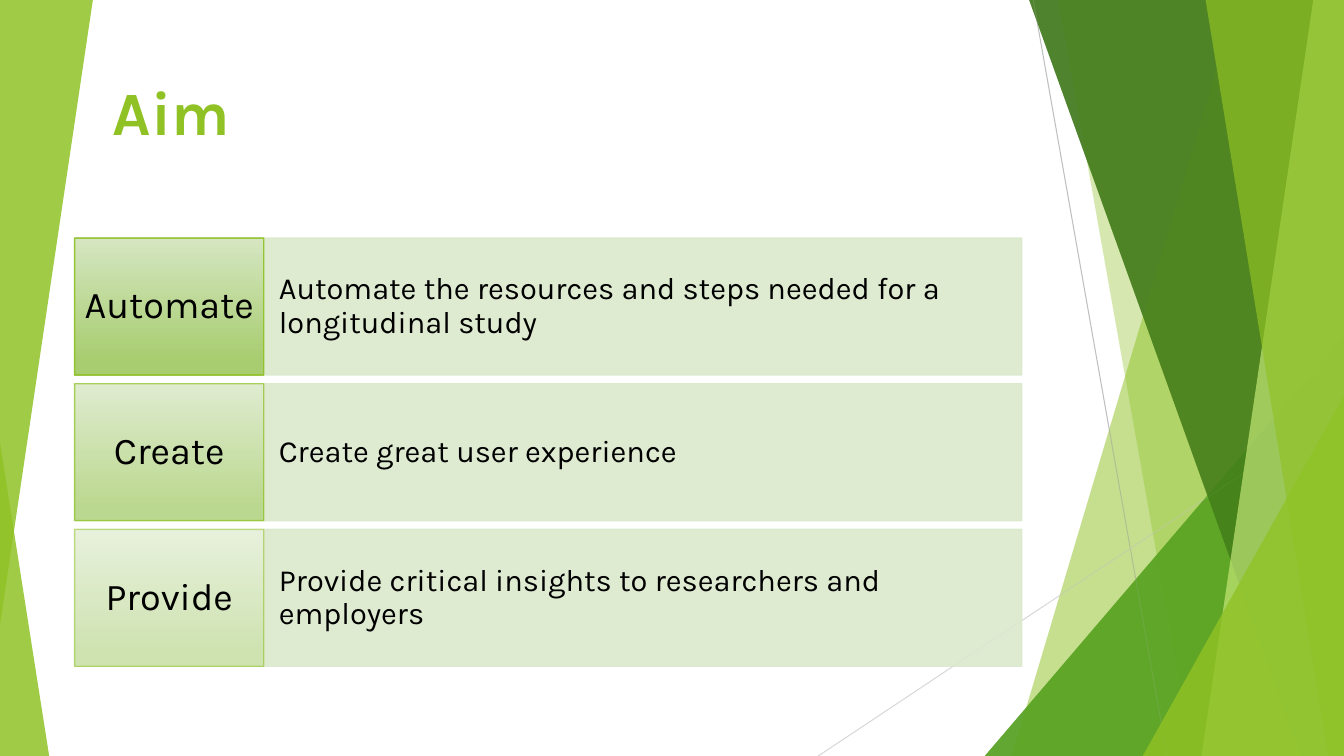
from dataclasses import dataclass

from pptx import Presentation
from pptx.dml.color import RGBColor
from pptx.enum.shapes import MSO_CONNECTOR, MSO_SHAPE
from pptx.enum.text import MSO_ANCHOR, PP_ALIGN
from pptx.oxml.ns import qn
from pptx.oxml.xmlchemy import OxmlElement
from pptx.util import Cm, Pt

RECT = MSO_SHAPE.RECTANGLE
TRIANGLE = MSO_SHAPE.ISOSCELES_TRIANGLE
STRAIGHT = MSO_CONNECTOR.STRAIGHT
TOP, MIDDLE = MSO_ANCHOR.TOP, MSO_ANCHOR.MIDDLE
LEFT, CENTER = PP_ALIGN.LEFT, PP_ALIGN.CENTER

LIME = RGBColor(0x90, 0xC2, 0x26)
GREEN = RGBColor(0x54, 0xA0, 0x21)
FOREST = RGBColor(0x3F, 0x78, 0x19)
PALE_LIME = RGBColor(0xC0, 0xE4, 0x74)
PANEL = RGBColor(0xDB, 0xE9, 0xCD)
LABEL_TOP = RGBColor(0xD3, 0xE5, 0xBE)
LABEL_BOTTOM = RGBColor(0xA0, 0xC9, 0x62)
GREY = RGBColor(0xBF, 0xBF, 0xBF)
LIGHT_GREY = RGBColor(0xD9, 0xD9, 0xD9)
BLACK = RGBColor(0, 0, 0)

FONT = "Karla"
WIDTH, HEIGHT = 33.87, 19.05
BLEED_TOP = -0.02
ROW_TOP, ROW_STEP, ROW_HEIGHT = 6.0, 3.67, 3.45
LABEL_LEFT, LABEL_WIDTH = 1.88, 4.77
PANEL_LEFT, PANEL_WIDTH = LABEL_LEFT + LABEL_WIDTH, 19.1


@dataclass
class Facet:
    top_x: float
    bottom_x: float
    color: RGBColor
    alpha: int


@dataclass
class Corner:
    x: float
    y: float
    w: float
    h: float
    apex: float
    color: RGBColor
    alpha: int
    rotation: int = 0


@dataclass
class Ray:
    x1: float
    y1: float
    x2: float
    y2: float
    color: RGBColor


@dataclass
class Row:
    label: str
    text: str
    alpha: int


RIGHT_SIDE = [
    Facet(31.19, 25.5, LIME, 30),
    Facet(26.67, 30.05, LIME, 20),
    Corner(24.82, 8.46, 9.05, 10.59, 1, GREEN, 72),
    Facet(25.93, 32.79, FOREST, 70),
    Facet(33.1, 30.28, PALE_LIME, 70),
    Facet(30.38, 33.48, LIME, 65),
    Corner(28.8, 9.98, 5.07, 9.07, 1, LIME, 80),
]
UPPER_LEFT = Corner(0, 0, 2.34, 15.75, 1, LIME, 85, 180)
LOWER_LEFT = Corner(0, 11.15, 1.24, 7.9, 0, LIME, 85)
RAYS = [
    Ray(26.04, 0, 29.41, HEIGHT, GREY),
    Ray(WIDTH, 10.24, 20.62, HEIGHT, LIGHT_GREY),
]
ROWS = [
    Row("Automate", "Automate the resources and steps needed for a longitudinal study", 90),
    Row("Create", "Create great user experience", 70),
    Row("Provide", "Provide critical insights to researchers and employers", 50),
]


def set_alpha(sp, percent: int) -> None:
    for clr in sp._element.spPr.iter(qn("a:srgbClr")):
        alpha = OxmlElement("a:alpha")
        alpha.set("val", str(percent * 1000))
        clr.append(alpha)


def paint(sp, color: RGBColor, alpha: int) -> None:
    sp.shadow.inherit = False
    sp.fill.solid()
    sp.fill.fore_color.rgb = color
    sp.line.fill.background()
    set_alpha(sp, alpha)


def add_facet(s, facet: Facet) -> None:
    builder = s.shapes.build_freeform(Cm(facet.top_x), Cm(BLEED_TOP))
    builder.add_line_segments([
        (Cm(WIDTH), Cm(BLEED_TOP)),
        (Cm(WIDTH), Cm(HEIGHT)),
        (Cm(facet.bottom_x), Cm(HEIGHT)),
    ])
    paint(builder.convert_to_shape(), facet.color, facet.alpha)


def add_corner(s, corner: Corner) -> None:
    sp = s.shapes.add_shape(TRIANGLE, Cm(corner.x), Cm(corner.y), Cm(corner.w), Cm(corner.h))
    sp.adjustments[0] = corner.apex
    sp.rotation = corner.rotation
    paint(sp, corner.color, corner.alpha)


def add_right_side(s) -> None:
    for part in RIGHT_SIDE:
        if isinstance(part, Facet):
            add_facet(s, part)
        else:
            add_corner(s, part)


def add_ray(s, ray: Ray) -> None:
    line = s.shapes.add_connector(STRAIGHT, Cm(ray.x1), Cm(ray.y1), Cm(ray.x2), Cm(ray.y2))
    line.line.color.rgb = ray.color
    line.line.width = Pt(0.75)
    line._element.spPr.append(OxmlElement("a:effectLst"))


def write(sp, text: str, *, size: float, color: RGBColor = BLACK, bold: bool = False,
          align=LEFT, anchor=MIDDLE, spacing: float = 0.9,
          inset_x: float = 0.25, inset_y: float = 0.33) -> None:
    tf = sp.text_frame
    tf.word_wrap = True
    tf.vertical_anchor = anchor
    tf.margin_left = tf.margin_right = Cm(inset_x)
    tf.margin_top = tf.margin_bottom = Cm(inset_y)
    p = tf.paragraphs[0]
    p.alignment = align
    p.line_spacing = spacing
    r = p.add_run()
    r.text = text
    r.font.name = FONT
    r.font.size = Pt(size)
    r.font.bold = bold
    r.font.color.rgb = color


def add_box(s, x: float, y: float, w: float, line_color: RGBColor):
    sp = s.shapes.add_shape(RECT, Cm(x), Cm(y), Cm(w), Cm(ROW_HEIGHT))
    sp.shadow.inherit = False
    sp.line.color.rgb = line_color
    sp.line.width = Pt(1)
    return sp


def add_row(s, row: Row, y: float) -> None:
    panel = add_box(s, PANEL_LEFT, y, PANEL_WIDTH, PANEL)
    panel.fill.solid()
    panel.fill.fore_color.rgb = PANEL
    set_alpha(panel, 90)
    write(panel, row.text, size=22, inset_x=0.38, inset_y=0.89)

    label = add_box(s, LABEL_LEFT, y, LABEL_WIDTH, LIME)
    label.fill.gradient()
    label.fill.gradient_angle = 270
    stops = zip(label.fill.gradient_stops, (LABEL_TOP, LABEL_BOTTOM), (0, 0.88))
    for stop, color, position in stops:
        stop.color.rgb = color
        stop.position = position
    set_alpha(label, row.alpha)
    write(label, row.label, size=27, align=CENTER)


def main() -> None:
    prs = Presentation()
    prs.slide_width, prs.slide_height = Cm(WIDTH), Cm(HEIGHT)
    s = prs.slides.add_slide(prs.slide_layouts[6])

    add_right_side(s)
    add_corner(s, UPPER_LEFT)
    for ray in RAYS:
        add_ray(s, ray)
    add_right_side(s)
    add_corner(s, LOWER_LEFT)

    title = s.shapes.add_textbox(Cm(2.59), Cm(1.73), Cm(23.88), Cm(3.66))
    write(title, "Aim", size=44, color=LIME, bold=True, anchor=TOP, spacing=1.0, inset_y=0.13)
    for i, row in enumerate(ROWS):
        add_row(s, row, ROW_TOP + i * ROW_STEP)

    prs.save("out.pptx")


if __name__ == "__main__":
    main()
